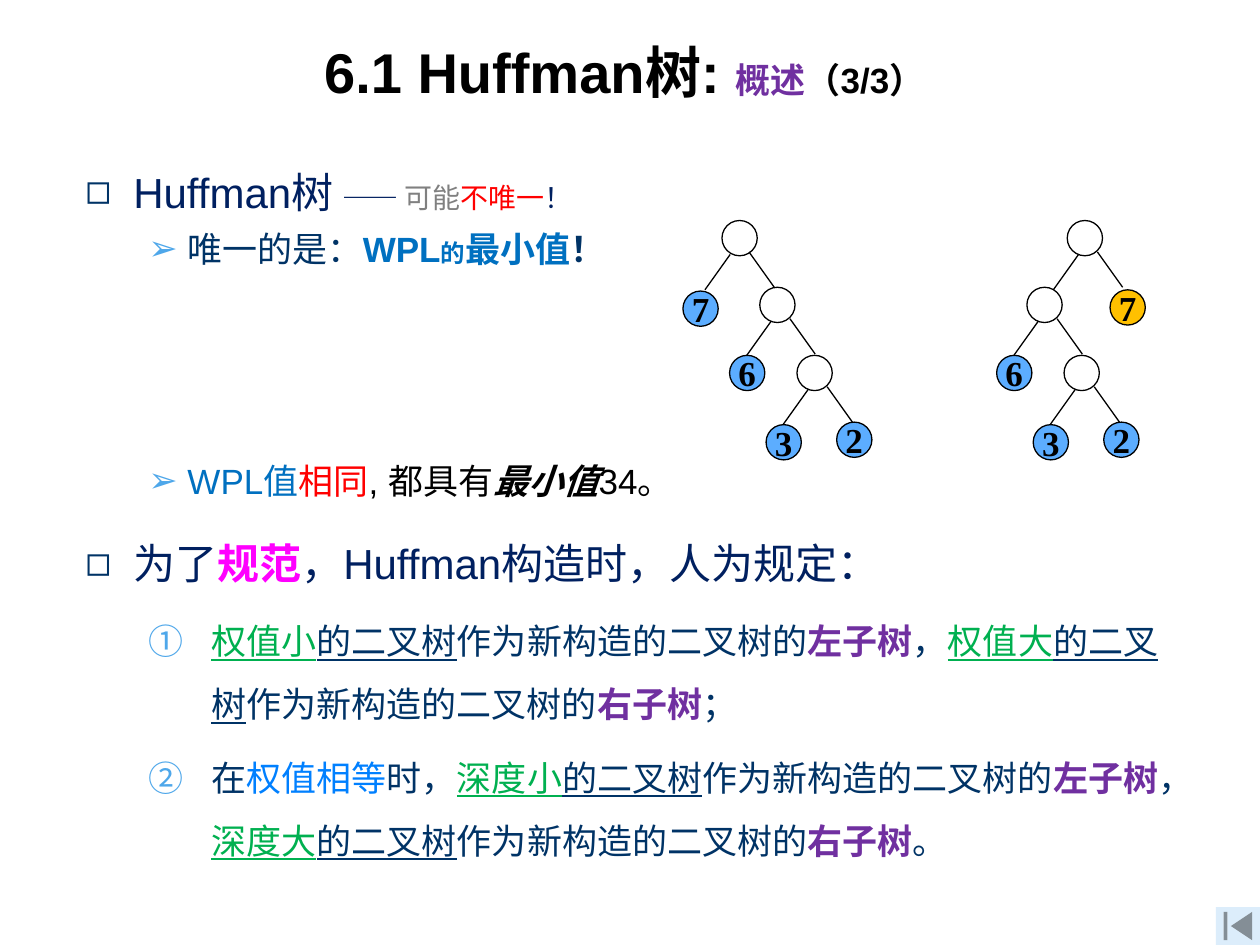
import pptx
import pptx.util
import pptx.dml.color
import pptx.enum.shapes
import pptx.enum.text
import pptx.oxml
import pptx.oxml.ns
from dataclasses import dataclass

Pt = pptx.util.Pt
SHAPES = pptx.enum.shapes.MSO_SHAPE
ALIGN = pptx.enum.text.PP_ALIGN
ANCHOR = pptx.enum.text.MSO_ANCHOR


@dataclass(frozen=True)
class Theme:
    font: str = "Arial"
    node_font: str = "Times New Roman"
    black: str = "000000"
    navy: str = "002060"
    ink: str = "003366"
    blue: str = "0070C0"
    sky: str = "0080FF"
    grey: str = "808080"
    red: str = "FF0000"
    pink: str = "FF00FF"
    green: str = "00B050"
    purple: str = "7030A0"
    marker: str = "4EA7EA"
    leaf: str = "5CADFF"
    moved_leaf: str = "FFC000"
    button: str = "DCEDFB"
    title: int = 32
    head: int = 24
    body: int = 20
    note: int = 16
    small: int = 14


T = Theme()
COLS, ROWS = 100, 75
CELL = pptx.util.Inches(10) // COLS
NODE = 2.8  # node diameter in cells


def grid(*cells):
    return [round(c * CELL) for c in cells]


def rgb(value):
    return pptx.dml.color.RGBColor.from_string(value)


def add_runs(p, runs):
    """Each run is (text, colour, size, flags); flags are letters of b, i, u."""
    for text, color, size, flags in runs:
        r = p.add_run()
        r.text = text
        f = r.font
        f.name, f.size, f.color.rgb = T.font, Pt(size), rgb(color)
        f.bold, f.italic, f.underline = ("b" in flags), ("i" in flags), ("u" in flags)


def add_textbox(s, box, anchor):
    tf = s.shapes.add_textbox(*grid(*box)).text_frame
    tf.word_wrap = True
    tf.vertical_anchor = anchor
    return tf


def set_bullet(p, color, left, hang, char=None):
    """Use the character, or circled numbers when there is none."""
    pPr = p._p.get_or_add_pPr()
    margin, indent = grid(left, -hang)
    pPr.set("marL", str(margin))
    pPr.set("indent", str(indent))
    mark = f'<a:buChar {{}} char="{char}"/>' if char else '<a:buAutoNum {} type="circleNumDbPlain"/>'
    ns = pptx.oxml.ns.nsdecls("a")
    for xml in (f'<a:buClr {ns}><a:srgbClr val="{color}"/></a:buClr>',
                f'<a:buFont {ns} typeface="{T.font}"/>', mark.format(ns)):
        pPr.append(pptx.oxml.parse_xml(xml))


def add_item(tf, kind, runs, spacing=1.5, before=6):
    bullet = {"head": (T.ink, 3.8, 3.8, "◻"),
              "sub": (T.marker, 8.1, 3.1, "➢"),
              "rule": (T.marker, 10, 5)}[kind]
    first = tf.paragraphs[0]
    p = tf.add_paragraph() if first.runs else first
    p.level = 0 if kind == "head" else 1
    p.line_spacing, p.space_before = spacing, Pt(before)
    set_bullet(p, *bullet)
    add_runs(p, runs)


def rule_runs(small, large, end):
    """Say which tree goes to the left and which to the right."""
    runs = []
    for which, side, stop in ((small, "左子树", "，"), (large, "右子树", end)):
        runs += [(which, T.green, T.body, "u"), ("的二叉树", T.ink, T.body, "u"),
                 ("作为新构造的二叉树的", T.ink, T.body, ""),
                 (side, T.purple, T.body, "b"), (stop, T.ink, T.body, "")]
    return runs


def add_node(group, x, y, label="", color=T.leaf):
    sp = group.shapes.add_shape(SHAPES.OVAL, *grid(x, y, NODE, NODE))
    sp.shadow.inherit = False
    sp.line.color.rgb, sp.line.width = rgb(T.black), Pt(0.75)
    if not label:
        sp.fill.background()
        return
    sp.fill.solid()
    sp.fill.fore_color.rgb = rgb(color)
    tf = sp.text_frame
    tf.word_wrap, tf.vertical_anchor = False, ANCHOR.MIDDLE
    tf.text = label
    p = tf.paragraphs[0]
    p.alignment = ALIGN.CENTER
    f = p.runs[0].font
    f.name, f.size, f.bold, f.color.rgb = T.node_font, Pt(T.body), True, rgb(T.black)


def add_branches(group, x, y, shift=0):
    """Draw the two edges that go down from the node at x, y."""
    for dx, dy, run in ((0.9, 2.7, -2), (2.4, 2.5, 2)):
        x1, y1 = x + dx + shift, y + dy
        line = group.shapes.add_connector(
            pptx.enum.shapes.MSO_CONNECTOR.STRAIGHT, *grid(x1, y1, x1 + run, y1 + 2.8))
        line.line.color.rgb, line.line.width = rgb(T.black), Pt(0.75)
        line._element.spPr.append(
            pptx.oxml.parse_xml(f'<a:effectLst {pptx.oxml.ns.nsdecls("a")}/>'))


def add_tree(s, root_x, inner_x, seven, color, shift=0):
    group = s.shapes.add_group_shape()
    root_y, inner_y = 17.5, 22.8
    low_x, low_y = inner_x + 2.95, inner_y + 5.4
    add_branches(group, root_x, root_y, shift)
    add_branches(group, inner_x, inner_y)
    add_branches(group, low_x, low_y)
    for x, y in ((root_x, root_y), (inner_x, inner_y), (low_x, low_y)):
        add_node(group, x, y)
    add_node(group, *seven, "7", color)
    for dx, dy, label in ((-2.4, 5.4, "6"), (0.5, 10.9, "3"), (6.1, 10.7, "2")):
        add_node(group, inner_x + dx, inner_y + dy, label)


def add_title(s):
    p = add_textbox(s, (10.8, 3, 77.5, 5.3), ANCHOR.MIDDLE).paragraphs[0]
    p.alignment = ALIGN.CENTER
    add_runs(p, [("6.1 Huffman树: ", T.black, T.title, "b"),
                 ("概述", T.purple, T.body, "b"), ("（3/3）", T.black, T.body, "b")])


def add_body(s):
    tf = add_textbox(s, (5.8, 10.7, 89.6, 59.3), ANCHOR.TOP)
    add_item(tf, "head", [
        ("Huffman树 ", T.navy, T.head, ""), ("—— ", T.navy, T.note, ""),
        ("可能", T.grey, T.note, ""), ("不唯一", T.red, T.note, ""),
        ("！", T.navy, T.note, "")])
    add_item(tf, "sub", [
        ("唯一的是：", T.ink, T.body, ""), ("WPL", T.blue, T.body, "b"),
        ("的", T.blue, T.small, "b"), ("最小值", T.blue, T.body, "b"),
        ("！", T.ink, T.body, "b")], spacing=1)
    add_item(tf, "sub", [
        ("WPL值", T.blue, T.body, ""), ("相同", T.red, T.body, ""),
        (", 都具有", T.black, T.body, ""), ("最小值", T.black, T.body, "bi"),
        ("34。", T.black, T.body, "")], before=97)
    add_item(tf, "head", [
        ("为了", T.navy, T.head, ""), ("规范", T.pink, T.head, "b"),
        ("，Huffman构造时，人为规定：", T.navy, T.head, "")])
    add_item(tf, "rule", rule_runs("权值小", "权值大", "；"))
    add_item(tf, "rule", [
        ("在", T.ink, T.body, ""), ("权值相等", T.sky, T.body, ""),
        ("时，", T.ink, T.body, "")] + rule_runs("深度小", "深度大", "。"))


def add_button(s):
    w, h = 3.5, 3
    sp = s.shapes.add_shape(SHAPES.ACTION_BUTTON_BEGINNING, *grid(COLS - w, ROWS - h, w, h))
    sp.shadow.inherit = False
    sp.fill.solid()
    sp.fill.fore_color.rgb = rgb(T.button)
    sp.line.fill.background()


def main():
    prs = pptx.Presentation()
    prs.slide_width, prs.slide_height = grid(COLS, ROWS)
    s = prs.slides.add_slide(prs.slide_layouts[6])
    add_title(s)
    add_body(s)
    add_button(s)
    add_tree(s, 57.3, 60.3, (54.2, 23.1), T.leaf, shift=-0.25)
    add_tree(s, 84.7, 81.5, (88.1, 23), T.moved_leaf)
    prs.save("out.pptx")


if __name__ == "__main__":
    main()
